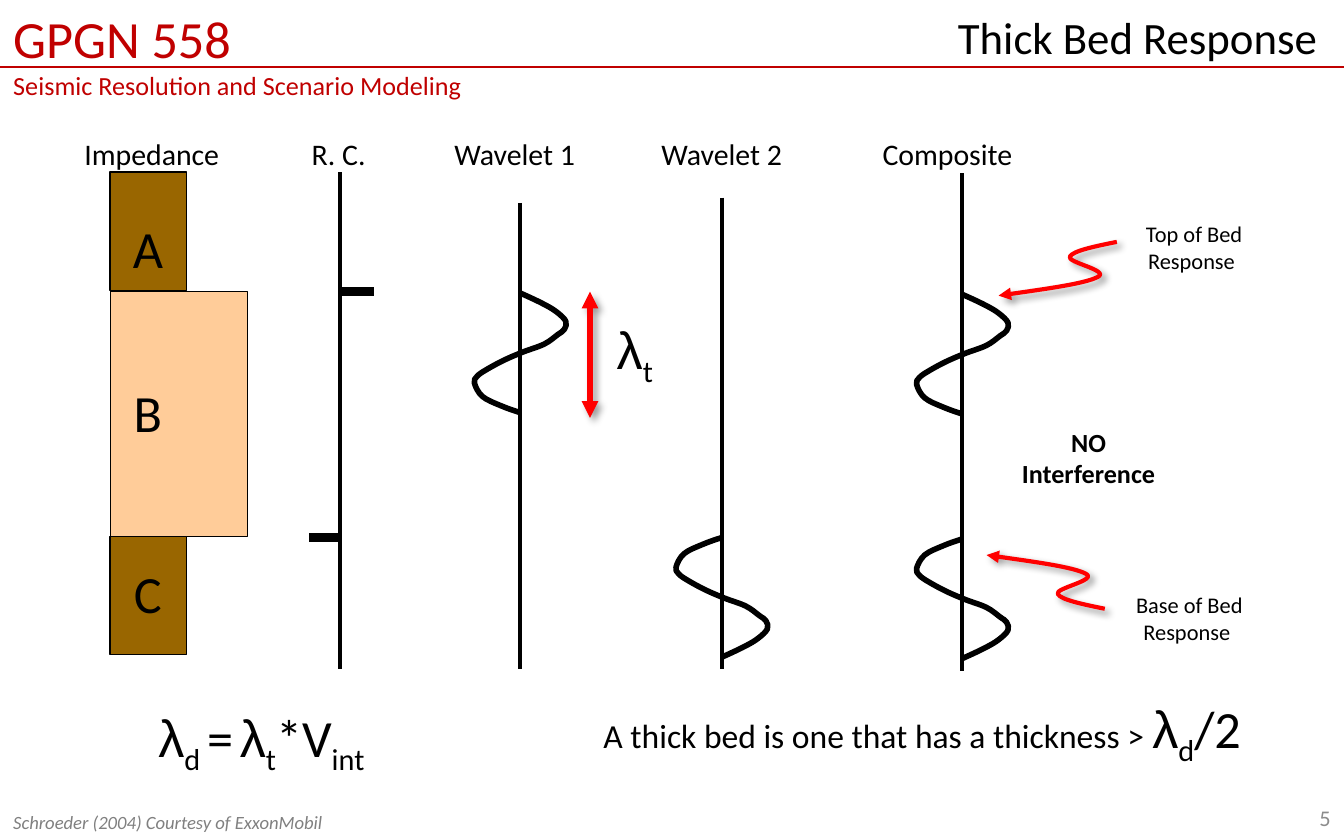
from lxml import etree
from pptx import Presentation
from pptx import util as u
from pptx.dml.color import RGBColor
from pptx.enum import shapes, text
from pptx.oxml import ns

W, H = 10, 6.25
COLORS = {"red": "C00000", "arrow": "FF0000", "black": "000000", "number": "8C8C8C",
          "credit": "808080", "shale": "996600", "sand": "FFCC99"}
ALIGN = {"l": text.PP_ALIGN.LEFT, "c": text.PP_ALIGN.CENTER, "r": text.PP_ALIGN.RIGHT}
TOP, MIDDLE = text.MSO_ANCHOR.TOP, text.MSO_ANCHOR.MIDDLE

# Column heading: centre
HEADINGS = {"Impedance": 1.13, "R. C.": 2.52, "Wavelet 1": 3.83, "Wavelet 2": 5.37, "Composite": 7.05}
HEADING_TOP, HEADING_WIDTH = 0.96, 1.33

# Bed: top, width, height, colour, top of its letter
BED_LEFT = 0.82
BEDS = {"A": (1.28, 0.57, 0.88, "shale", 1.56),
        "B": (2.17, 1.02, 1.82, "sand", 2.78),
        "C": (3.99, 0.57, 0.88, "shale", 4.13)}

# Vertical axes: x, top, bottom
AXES = [(2.53, 1.28, 4.98), (3.87, 1.51, 4.98), (5.37, 1.47, 4.98), (7.16, 1.29, 4.99)]
# Reflection coefficients: from x, to x, y
SPIKES = [(2.54, 2.78, 2.17), (2.3, 2.54, 4)]

# Knots of each curve, as offsets from its first point
WAVELET = [(0, 0), (-.14, .05), (-.28, .12), (-.34, .22), (-.32, .27), (-.25, .32), (-.12, .39),
           (.02, .45), (.18, .51), (.28, .58), (.33, .62), (.34, .68), (.27, .75), (.17, .81), (0, .89)]
SQUIGGLE = [(0, 0), (.74, .14), (.53, .29), (.88, .4)]
# First point x, y, and direction: 1 runs down, -1 runs up
WAVELETS = [(3.87, 3.07, -1), (5.37, 4, 1), (7.16, 3.08, -1), (7.16, 4.01, 1)]
POINTERS = [(7.43, 2.2, -1), (7.34, 4.13, 1)]


def run(words, size, font="Calibri", sub=False):
    return words, size, font, sub


# Box, alignment, anchor, wrap, insets left and right, colour, style, paragraphs of runs
INSET, HEADER_INSET = (0.1, 0.1), (0.1, 0.2)
TEXTS = [
    ((0, 0, 3.92, 0.79), "l", TOP, True, HEADER_INSET, "red", "",
     [[run("GPGN 558", 28)], [run("Seismic Resolution and Scenario Modeling", 14)]]),
    ((4.08, 0.02, 5.92, 0.5), "r", TOP, True, HEADER_INSET, "black", "",
     [[run("Thick Bed Response", 24)]]),
    ((7.67, 5.92, 2.33, 0.33), "r", MIDDLE, True, INSET, "number", "", [[run("5", 12)]]),
    ((0, 5.98, 4.5, 0.27), "l", MIDDLE, True, INSET, "credit", "i",
     [[run("Schroeder (2004) Courtesy of ExxonMobil", 10)]]),
    ((4.49, 5.21, 4.85, 0.47), "l", MIDDLE, True, (0, 0), "black", "",
     [[run("A thick bed is one that has a thickness > ", 18), run("λ", 28, "Arial"),
       run("d", 28, sub=True), run("/2", 28), run(" ", 18, sub=True)]]),
    ((7.5, 3.12, 1.2, 0.57), "c", TOP, False, INSET, "black", "b",
     [[run("NO", 14)], [run("Interference", 14)]]),
    ((8.42, 1.59, 0.93, 0.46), "c", TOP, False, INSET, "black", "",
     [[run("Top of Bed", 12)], [run("Response ", 12)]]),
    ((8.35, 4.35, 1, 0.46), "c", TOP, False, INSET, "black", "",
     [[run("Base of Bed", 12)], [run("Response ", 12)]]),
    ((4.49, 2.31, 0.75, 0.57), "l", TOP, True, INSET, "black", "",
     [[run("λ", 28, "Arial"), run("t", 28, sub=True), run(" ", 18, sub=True)]]),
    ((1.08, 5.2, 1.87, 0.57), "l", TOP, False, INSET, "black", "",
     [[run("λ", 28, "Arial"), run("d ", 28, sub=True), run("=", 28), run(" ", 28, sub=True),
       run("λ", 28, "Arial"), run("t", 28, sub=True), run("*V", 28), run("int", 28, sub=True)]]),
]
TEXTS += [((centre - HEADING_WIDTH / 2, HEADING_TOP, HEADING_WIDTH, 0.34), "c", TOP, False, INSET,
           "black", "", [[run(name, 16)]]) for name, centre in HEADINGS.items()]
TEXTS += [((0.89, bed[4], 0.42, 0.52), "c", TOP, False, INSET, "black", "", [[run(name, 28)]])
          for name, bed in BEDS.items()]


def rgb(name):
    return RGBColor.from_string(COLORS[name])


def add_text(slide, box, align, anchor, wrap, insets, color, style, paragraphs):
    frame = slide.shapes.add_textbox(*map(u.Inches, box)).text_frame
    frame.word_wrap, frame.vertical_anchor = wrap, anchor
    frame.margin_left, frame.margin_right = map(u.Inches, insets)
    if not any(insets):
        frame.margin_top = frame.margin_bottom = 0
    for i, runs in enumerate(paragraphs):
        paragraph = frame.add_paragraph() if i else frame.paragraphs[0]
        paragraph.alignment = ALIGN[align]
        for words, size, font, sub in runs:
            piece = paragraph.add_run()
            piece.text = words
            piece.font.size, piece.font.name = u.Pt(size), font
            piece.font.color.rgb = rgb(color)
            piece.font.bold, piece.font.italic = style == "b", style == "i"
            if sub:
                piece.font._element.set("baseline", "-25000")


def style_line(shape, color, width, ends=(), shadow=False):
    """Set colour, width, arrowheads and either a soft shadow or none."""
    shape.line.color.rgb, shape.line.width = rgb(color), u.Pt(width)
    for end in ends:
        etree.SubElement(shape.line._get_or_add_ln(), ns.qn(f"a:{end}")).set("type", "triangle")
    properties = shape._element.spPr
    effects = etree.SubElement(properties, ns.qn("a:effectLst"))
    if shadow:
        outer = etree.SubElement(effects, ns.qn("a:outerShdw"), blurRad=str(u.Pt(4)),
                                 dist=str(u.Pt(3)), dir="2700000", rotWithShape="0")
        shade = etree.SubElement(outer, ns.qn("a:srgbClr"), val=COLORS["black"])
        etree.SubElement(shade, ns.qn("a:alpha"), val="40000")


def add_line(slide, x1, y1, x2, y2, color, width, **extras):
    line = slide.shapes.add_connector(shapes.MSO_CONNECTOR.STRAIGHT, *map(u.Inches, (x1, y1, x2, y2)))
    style_line(line, color, width, **extras)


def bend(curve):
    """Turn the straight segments of a freeform into smooth cubic ones through the same knots."""
    knots = [(int(p.get("x")), int(p.get("y"))) for p in curve._element.iter(ns.qn("a:pt"))]
    arms = [tuple((c - a) / 6 for a, c in zip(before, after))
            for before, after in zip(knots, knots[2:])]
    segments = list(curve._element.iter(ns.qn("a:lnTo")))
    for i, segment in enumerate(segments):
        start, end = knots[i], knots[i + 1]
        leave = tuple(p + d for p, d in zip(start, arms[i - 1])) if i else None
        arrive = tuple(p - d for p, d in zip(end, arms[i])) if i < len(arms) else None
        leave = leave or tuple((p + q) / 2 for p, q in zip(start, arrive))
        arrive = arrive or tuple((p + q) / 2 for p, q in zip(end, leave))
        cubic = etree.Element(ns.qn("a:cubicBezTo"))
        for x, y in (leave, arrive, end):
            etree.SubElement(cubic, ns.qn("a:pt"), x=str(round(x)), y=str(round(y)))
        segment.getparent().replace(segment, cubic)


def add_curve(slide, offsets, x, y, direction, color, width, **extras):
    points = [(u.Inches(x + dx), u.Inches(y + direction * dy)) for dx, dy in offsets]
    builder = slide.shapes.build_freeform(*points[0])
    builder.add_line_segments(points[1:], close=False)
    curve = builder.convert_to_shape()
    bend(curve)
    curve.fill.background()
    style_line(curve, color, width, **extras)


def main():
    deck = Presentation()
    deck.slide_width, deck.slide_height = u.Inches(W), u.Inches(H)
    slide = deck.slides.add_slide(deck.slide_layouts[6])

    add_line(slide, 0, 0.5, W, 0.5, "red", 1.25)
    for top, width, height, color, _ in BEDS.values():
        bed = slide.shapes.add_shape(shapes.MSO_SHAPE.RECTANGLE,
                                     *map(u.Inches, (BED_LEFT, top, width, height)))
        bed.fill.solid()
        bed.fill.fore_color.rgb = rgb(color)
        style_line(bed, "black", 0.75)
    for x, top, bottom in AXES:
        add_line(slide, x, top, x, bottom, "black", 2.25)
    for start, end, y in SPIKES:
        add_line(slide, start, y, end, y, "black", 4.5)
    for wavelet in WAVELETS:
        add_curve(slide, WAVELET, *wavelet, "black", 3)
    for pointer in POINTERS:
        add_curve(slide, SQUIGGLE, *pointer, "arrow", 2.25, ends=["headEnd"], shadow=True)
    add_line(slide, 4.39, 2.17, 4.39, 3.11, "arrow", 3, ends=["headEnd", "tailEnd"], shadow=True)
    for item in TEXTS:
        add_text(slide, *item)
    deck.save("out.pptx")


if __name__ == "__main__":
    main()
